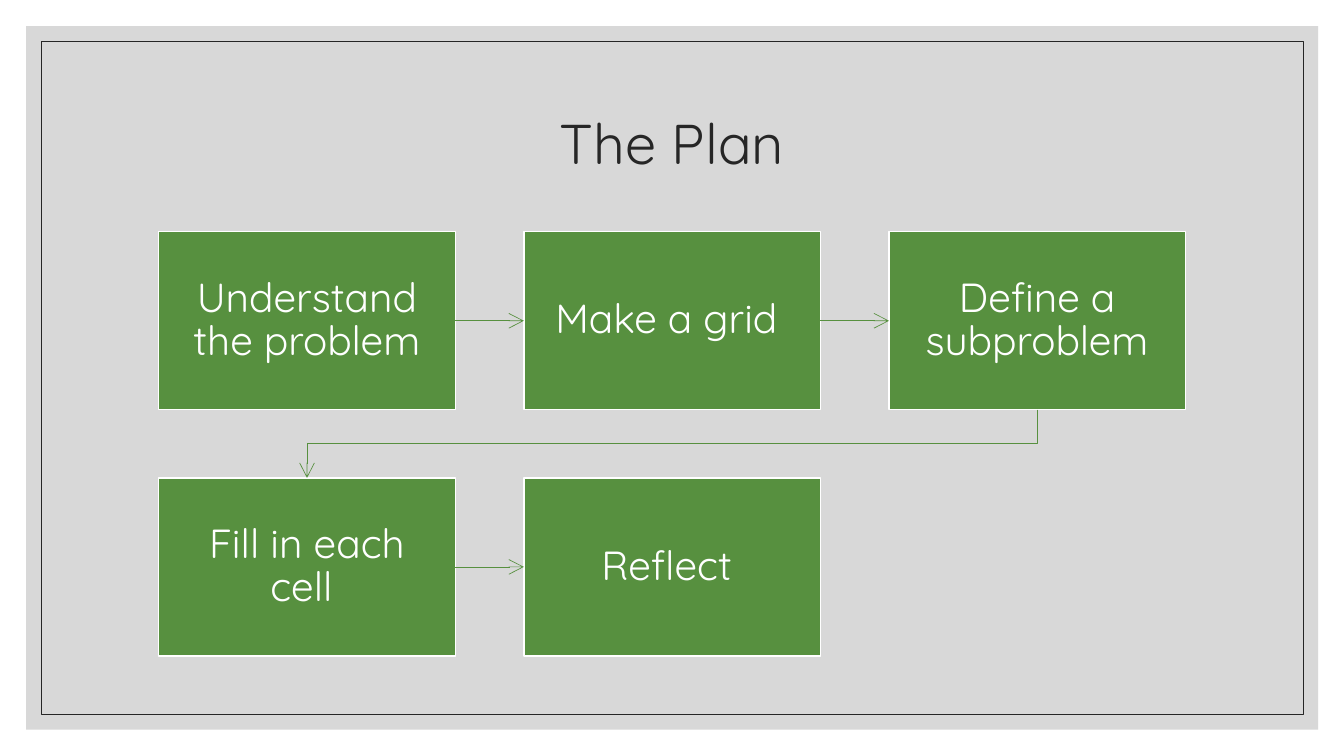
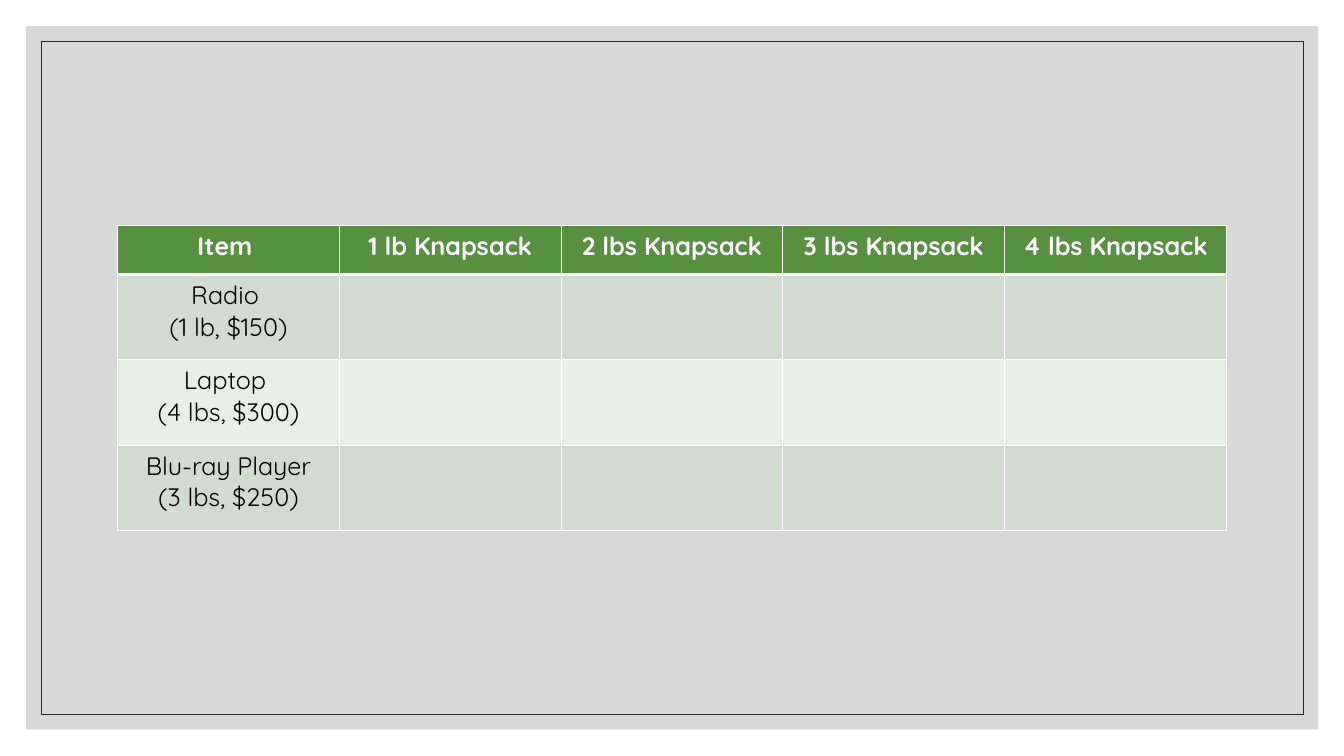
from dataclasses import dataclass

from lxml import etree
from pptx import Presentation
from pptx.dml.color import RGBColor
from pptx.enum.shapes import MSO_CONNECTOR, MSO_SHAPE
from pptx.enum.text import MSO_ANCHOR, PP_ALIGN
from pptx.oxml.ns import qn
from pptx.util import Pt

RECTANGLE = MSO_SHAPE.RECTANGLE
STRAIGHT = MSO_CONNECTOR.STRAIGHT
ELBOW = MSO_CONNECTOR.ELBOW
CENTER = PP_ALIGN.CENTER
MIDDLE = MSO_ANCHOR.MIDDLE
TOP, LEFT, BOTTOM, RIGHT = range(4)
TITLE_ONLY, BLANK = 5, 6


@dataclass(frozen=True)
class Theme:
    font: str = "Quicksand"
    panel: str = "BFBFBF"
    panel_opacity: int = 60
    dark: str = "262626"
    accent: str = "57903F"
    white: str = "FFFFFF"
    black: str = "000000"
    bands: tuple = ("D1DBCF", "EAEEE8")
    title_size: int = 40
    step_size: int = 29
    table_size: int = 18
    thin: float = 0.5
    border: float = 1
    header_border: float = 3
    line_spacing: float = 0.9


def color(value):
    return RGBColor.from_string(value)


def add_child(parent, tag, **attributes):
    return etree.SubElement(parent, qn(tag), attributes)


class Deck:
    def __init__(self, theme):
        self.theme = theme
        self.presentation = Presentation()
        self.presentation.slide_width = Pt(960)
        self.presentation.slide_height = Pt(540)
        self.slide = None

    def add_slide(self, layout):
        layouts = self.presentation.slide_layouts
        self.slide = self.presentation.slides.add_slide(layouts[layout])

    def rectangle(self, left, top, width, height, fill=None, line=None, weight=1):
        shape = self.slide.shapes.add_shape(
            RECTANGLE, Pt(left), Pt(top), Pt(width), Pt(height))
        shape.shadow.inherit = False
        if fill:
            shape.fill.solid()
            shape.fill.fore_color.rgb = color(fill)
        else:
            shape.fill.background()
        if line:
            shape.line.color.rgb = color(line)
            shape.line.width = Pt(weight)
        else:
            shape.line.fill.background()
        return shape

    def master_frame(self):
        theme = self.theme
        panel = self.rectangle(18.7, 18.7, 922.8, 502.5, fill=theme.panel)
        fill_color = panel.element.spPr.find(qn("a:solidFill"))[0]
        add_child(fill_color, "a:alpha", val=str(theme.panel_opacity * 1000))
        outline = self.rectangle(29.5, 29.5, 901.4, 481,
                                 line=theme.dark, weight=theme.thin)
        tree = self.presentation.slide_master.shapes.element
        for position, shape in enumerate((panel, outline)):
            shape.element.nvSpPr.cNvPr.set("id", str(100 + position))
            tree.insert(2 + position, shape.element)

    def add_text(self, paragraph, text, size, text_color, bold=False):
        paragraph.alignment = CENTER
        run = paragraph.add_run()
        run.text = text
        run.font.name = self.theme.font
        run.font.size = Pt(size)
        run.font.bold = bold
        run.font.color.rgb = color(text_color)

    def title(self, text):
        title = self.slide.shapes.title
        title.left, title.top = Pt(84), Pt(50.4)
        title.width, title.height = Pt(792), Pt(108)
        title.text_frame.vertical_anchor = MIDDLE
        paragraph = title.text_frame.paragraphs[0]
        paragraph.line_spacing = self.theme.line_spacing
        self.add_text(paragraph, text, self.theme.title_size, self.theme.dark)

    def step(self, text, left, top, width, height):
        theme = self.theme
        shape = self.rectangle(left, top, width, height, theme.accent,
                               theme.white, theme.border)
        frame = shape.text_frame
        frame.word_wrap = True
        frame.vertical_anchor = MIDDLE
        frame.margin_left = frame.margin_right = Pt(16.5)
        frame.margin_top = frame.margin_bottom = Pt(16.5)
        paragraph = frame.paragraphs[0]
        paragraph.line_spacing = theme.line_spacing
        self.add_text(paragraph, text, theme.step_size, theme.white)
        return shape

    def arrow(self, kind, start, start_side, end, end_side):
        connector = self.slide.shapes.add_connector(kind, 0, 0, 0, 0)
        connector.begin_connect(start, start_side)
        connector.end_connect(end, end_side)
        connector.line.color.rgb = color(self.theme.accent)
        connector.line.width = Pt(self.theme.thin)
        properties = connector.element.spPr
        line = properties.find(qn("a:ln"))
        add_child(line, "a:tailEnd", type="arrow", w="lg", len="lg")
        add_child(properties, "a:effectLst")
        return connector

    def next_row_arrow(self, start, end):
        connector = self.arrow(ELBOW, start, BOTTOM, end, TOP)
        across = abs(connector.end_x - connector.begin_x)
        down = connector.end_y - connector.begin_y
        center_x = (connector.begin_x + connector.end_x) // 2
        center_y = (connector.begin_y + connector.end_y) // 2
        transform = connector.element.spPr.find(qn("a:xfrm"))
        transform.attrib.pop("flipH", None)
        transform.attrib.pop("flipV", None)
        connector.left = center_x - down // 2
        connector.top = center_y - across // 2
        connector.width, connector.height = down, across
        transform.set("rot", str(90 * 60000))

    def cell_borders(self, cell, top, bottom):
        properties = cell._tc.get_or_add_tcPr()
        weights = {"L": self.theme.border, "R": self.theme.border,
                   "T": top, "B": bottom}
        for position, (side, weight) in enumerate(weights.items()):
            line = add_child(properties, f"a:ln{side}", w=str(int(Pt(weight))))
            fill = add_child(line, "a:solidFill")
            add_child(fill, "a:srgbClr", val=self.theme.white)
            properties.insert(position, line)

    def table(self, rows, left, top, column_width, row_heights):
        theme = self.theme
        columns = len(rows[0])
        table = self.slide.shapes.add_table(
            len(rows), columns, Pt(left), Pt(top),
            Pt(column_width * columns), Pt(sum(row_heights))).table
        table.horz_banding = False
        for column in table.columns:
            column.width = Pt(column_width)
        for row_index, (row, height) in enumerate(zip(rows, row_heights)):
            table.rows[row_index].height = Pt(height)
            header = row_index == 0
            fill = theme.accent if header else theme.bands[(row_index - 1) % 2]
            text_color = theme.white if header else theme.black
            top_border = theme.header_border if row_index == 1 else theme.border
            bottom_border = theme.header_border if header else theme.border
            for column_index in range(columns):
                cell = table.cell(row_index, column_index)
                cell.fill.solid()
                cell.fill.fore_color.rgb = color(fill)
                self.cell_borders(cell, top_border, bottom_border)
                if column_index >= len(row):
                    continue
                frame = cell.text_frame
                for line_index, text in enumerate(row[column_index].split("\n")):
                    paragraph = (frame.add_paragraph() if line_index
                                 else frame.paragraphs[0])
                    self.add_text(paragraph, text, theme.table_size,
                                  text_color, header)


def plan_slide(deck):
    deck.add_slide(TITLE_ONLY)
    deck.master_frame()
    deck.title("The Plan")
    texts = ("Understand the problem", "Make a grid ", "Define a subproblem",
             "Fill in each cell ", "Reflect ")
    columns = 3
    steps = []
    for index, text in enumerate(texts):
        row, column = divmod(index, columns)
        steps.append(deck.step(text, 113.4 + column * 260.8,
                               165.6 + row * 175.8, 211.8, 127.1))
    for index, (start, end) in enumerate(zip(steps, steps[1:]), 1):
        if index % columns:
            deck.arrow(STRAIGHT, start, RIGHT, end, LEFT)
        else:
            deck.next_row_arrow(start, end)


def knapsack_slide(deck):
    deck.add_slide(BLANK)
    rows = (
        ("Item ", "1 lb Knapsack", "2 lbs Knapsack", "3 lbs Knapsack",
         "4 lbs Knapsack"),
        ("Radio \n(1 lb, $150)",),
        ("Laptop \n(4 lbs, $300)",),
        ("Blu-ray Player\n(3 lbs, $250)",),
    )
    deck.table(rows, 84, 160.8, 158.4, (35.2, 61, 61, 61))


def main():
    deck = Deck(Theme())
    plan_slide(deck)
    knapsack_slide(deck)
    deck.presentation.save("out.pptx")


if __name__ == "__main__":
    main()
